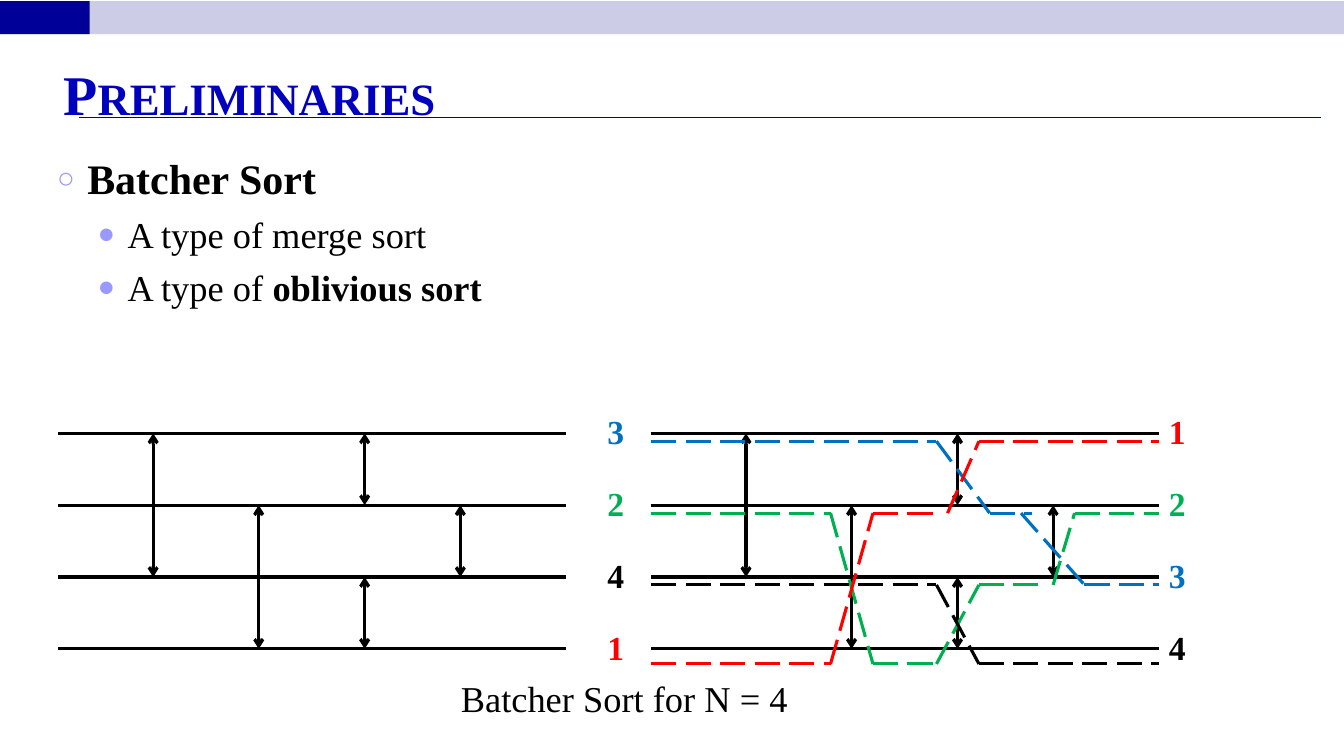
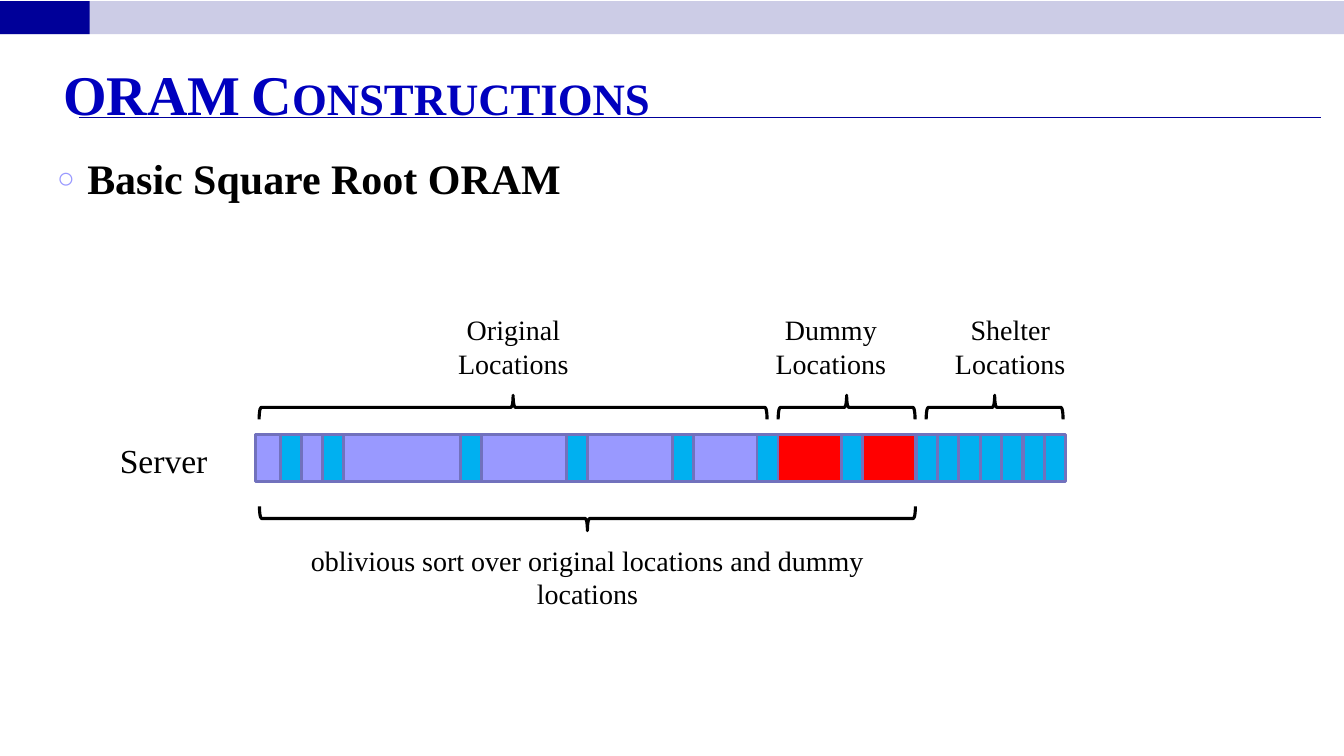
from lxml.etree import SubElement
from pptx import Presentation
from pptx.dml.color import RGBColor
from pptx.enum.dml import MSO_LINE
from pptx.enum.shapes import MSO_CONNECTOR, MSO_SHAPE
from pptx.enum.text import MSO_ANCHOR, PP_ALIGN
from pptx.oxml.ns import qn
from pptx.util import Cm, Pt

FONT = "Times New Roman"
COLORS = {
    "band": "CCCCE6", "navy": "000099", "title": "0000BE", "bullet": "9999FF",
    "black": "000000", "blue": "0070C0", "green": "00B050", "red": "FF0000",
    "original": "9999FF", "dummy": "FF0000", "shelter": "00B050",
    "cell": "00B0F0", "outline": "7171BD",
}
SLIDE_W, SLIDE_H = 33.87, 19.05

# Bullet levels: glyph, size in percent, left margin, text size, space before
BULLETS = [("○", 70, 0.76, 30, 6), ("●", 80, 1.78, 26, 6.5)]
HANGING = 0.76

# Sorting network, in cm from its top left corner
LANES, LANE_GAP, LANE_W = 4, 1.81, 12.8
COMPARATORS = [(2.39, 0, 2), (5.05, 1, 3), (7.72, 0, 1), (7.72, 2, 3), (10.13, 1, 2)]
TRACE_DROP = [0.2, 0.2, 0.2, 0.38]
# Each value: colour, lane in, lane out, strokes of (x, lane) points
TRACES = {
    "3": ("blue", 0, 2, [[(0, 0), (7.19, 0), (8.53, 1), (9.6, 1)],
                         [(9.32, 1), (10.92, 2), (LANE_W, 2)]]),
    "2": ("green", 1, 1, [[(0, 1), (4.52, 1), (5.59, 3), (7.19, 3), (8.26, 2), (9.86, 2)],
                          [(10.13, 2), (10.67, 1), (LANE_W, 1)]]),
    "4": ("black", 2, 3, [[(0, 2), (7.19, 2), (8.26, 3), (LANE_W, 3)]]),
    "1": ("red", 3, 0, [[(0, 3), (4.52, 3), (5.59, 1), (7.19, 1)],
                        [(7.47, 1), (8.26, 0), (LANE_W, 0)]]),
}

# Server memory, in cm from the left end of the bar
BAR_H, CELL_W, SHELTER_PITCH = 1.19, 0.53, 0.54
SECTIONS = [("original", 0, 12.88), ("shelter", 16.61, 3.73), ("dummy", 12.88, 3.73)]
SHELTER_CELLS = [16.64 + SHELTER_PITCH * i for i in range(7)]
MARKED_CELLS = [0.61, 1.68, 5.16, 7.82, 10.49, 12.63, 14.76]
# Label, label offset, brace offset, brace width
SECTION_LABELS = [("Original Locations", 4.09, 0.08, 12.8),
                  ("Dummy Locations", 12.09, 13.16, 3.45),
                  ("Shelter Locations", 16.61, 16.89, 3.45)]
BRACE_H = 0.61


def rgb(name):
    return RGBColor.from_string(COLORS[name])


def add_box(slide, left, top, width, height, fill=None, line=None, weight=2,
            preset=MSO_SHAPE.RECTANGLE):
    box = slide.shapes.add_shape(preset, Cm(left), Cm(top), Cm(width), Cm(height))
    box.shadow.inherit = False
    if fill:
        box.fill.solid()
        box.fill.fore_color.rgb = rgb(fill)
    else:
        box.fill.background()
    if line:
        box.line.color.rgb = rgb(line)
        box.line.width = Pt(weight)
    else:
        box.line.fill.background()
    return box


def add_line(slide, x1, y1, x2, y2, color="black", weight=2.25, dashed=False, arrows=False):
    line = slide.shapes.add_connector(MSO_CONNECTOR.STRAIGHT, Cm(x1), Cm(y1), Cm(x2), Cm(y2))
    line.line.color.rgb = rgb(color)
    line.line.width = Pt(weight)
    if dashed:
        line.line.dash_style = MSO_LINE.LONG_DASH
    if arrows:
        for end in ("a:headEnd", "a:tailEnd"):
            SubElement(line.line._get_or_add_ln(), qn(end), type="arrow")
    SubElement(line._element.spPr, qn("a:effectLst"))


def style_run(run, size, color="black", bold=False):
    run.font.name = FONT
    run.font.size = Pt(size)
    run.font.bold = bold
    run.font.color.rgb = rgb(color)


def add_text(slide, text, left, top, width, height, size, color="black", bold=False,
             align=PP_ALIGN.LEFT, wrap=True):
    frame = slide.shapes.add_textbox(Cm(left), Cm(top), Cm(width), Cm(height)).text_frame
    frame.word_wrap = wrap
    frame.text = text
    frame.paragraphs[0].alignment = align
    style_run(frame.paragraphs[0].runs[0], size, color, bold)
    return frame


def add_brace(slide, left, top, width, rotation):
    """A brace lying in the given box, turned from an upright one."""
    brace = add_box(slide, left + (width - BRACE_H) / 2, top + (BRACE_H - width) / 2,
                    BRACE_H, width, line="black", weight=2.25, preset=MSO_SHAPE.LEFT_BRACE)
    brace.rotation = rotation


def add_frame(slide, title):
    # Top band
    add_box(slide, 0, 0.03, SLIDE_W, 0.83, "band")
    add_box(slide, 0, 0.03, 2.26, 0.83, "navy")
    # Title and rule
    add_line(slide, 1.98, 2.97, 33.3, 2.97, "navy", 0.75)
    heading = add_text(slide, title, 1.35, 1.32, 31.12, 1.88, 40, "title", True)
    heading.vertical_anchor = MSO_ANCHOR.BOTTOM
    heading.margin_bottom = 0
    heading.paragraphs[0].runs[0]._r.get_or_add_rPr().set("cap", "small")


def add_bullets(slide, items, left, top, width, height):
    """Items are (level, [(text, bold), ...])."""
    frame = slide.shapes.add_textbox(Cm(left), Cm(top), Cm(width), Cm(height)).text_frame
    frame.word_wrap = True
    for index, (level, pieces) in enumerate(items):
        item = frame.add_paragraph() if index else frame.paragraphs[0]
        glyph, percent, margin, size, before = BULLETS[level]
        item.level = level
        item.space_before = Pt(before)
        props = item._p.get_or_add_pPr()
        props.set("marL", str(Cm(margin)))
        props.set("indent", str(-Cm(HANGING)))
        SubElement(SubElement(props, qn("a:buClr")), qn("a:srgbClr"), val=COLORS["bullet"])
        SubElement(props, qn("a:buSzPct"), val=str(percent * 1000))
        SubElement(props, qn("a:buFont"), typeface=FONT)
        SubElement(props, qn("a:buChar"), char=glyph)
        for text, bold in pieces:
            run = item.add_run()
            run.text = text
            style_run(run, size, bold=bold)


def add_network(slide, left, top):
    for lane in range(LANES):
        y = top + lane * LANE_GAP
        add_line(slide, left, y, left + LANE_W, y)
    for x, upper, lower in COMPARATORS:
        add_line(slide, left + x, top + upper * LANE_GAP,
                 left + x, top + lower * LANE_GAP, arrows=True)


def add_traces(slide, left, top):
    def trace_y(lane):
        return top + lane * LANE_GAP + TRACE_DROP[lane]

    for value, (color, lane_in, lane_out, strokes) in TRACES.items():
        # Value at both ends
        for x, lane in ((-1.35, lane_in), (LANE_W, lane_out)):
            add_text(slide, value, left + x, top + lane * LANE_GAP - 0.69,
                     1.85, 1.27, 24, color, True)
        # Way through the lanes
        for stroke in strokes:
            for (x1, lane1), (x2, lane2) in zip(stroke, stroke[1:]):
                add_line(slide, left + x1, trace_y(lane1), left + x2, trace_y(lane2),
                         color, dashed=True)


def add_server_memory(slide, left, top):
    # Sections and cells
    for section, x, width in SECTIONS:
        add_box(slide, left + x, top, width, BAR_H, section, "outline")
    for x in SHELTER_CELLS + MARKED_CELLS:
        add_box(slide, left + x, top, CELL_W, BAR_H, "cell", "outline")
    add_text(slide, "Server", left - 3.68, top, 2.74, 1.27, 24, wrap=False)
    # Braces and labels above
    for label, label_x, brace_x, brace_w in SECTION_LABELS:
        add_brace(slide, left + brace_x, top - 0.99, brace_w, 90)
        add_text(slide, label, left + label_x, top - 3.2, 4.8, 1.96, 20,
                 align=PP_ALIGN.CENTER)
    # Sorted range below
    add_brace(slide, left + 0.09, top + 1.81, 16.53, 270)
    add_text(slide, "oblivious sort over original locations and dummy locations",
             left - 0.18, top + 2.61, 17.07, 1.96, 20, align=PP_ALIGN.CENTER)


def build_preliminaries(slide):
    add_frame(slide, "Preliminaries")
    add_bullets(slide, [
        (0, [("Batcher Sort", True)]),
        (1, [("A type of merge sort", False)]),
        (1, [("A type of ", False), ("oblivious sort", True)]),
    ], 1.19, 3.73, 30.4, 5.41)
    add_network(slide, 1.47, 10.92)
    add_network(slide, 16.41, 10.92)
    add_traces(slide, 16.41, 10.92)
    add_text(slide, "Batcher Sort for N = 4", 6.81, 16.92, 17.86, 1.37, 26,
             align=PP_ALIGN.CENTER)


def build_constructions(slide):
    add_frame(slide, "ORAM Constructions")
    add_bullets(slide, [(0, [("Basic Square Root ORAM", True)])], 1.19, 3.73, 30.94, 2)
    add_server_memory(slide, 6.45, 10.95)


def main():
    deck = Presentation()
    deck.slide_width, deck.slide_height = Cm(SLIDE_W), Cm(SLIDE_H)
    for build in (build_preliminaries, build_constructions):
        build(deck.slides.add_slide(deck.slide_layouts[6]))
    deck.save("out.pptx")


if __name__ == "__main__":
    main()
